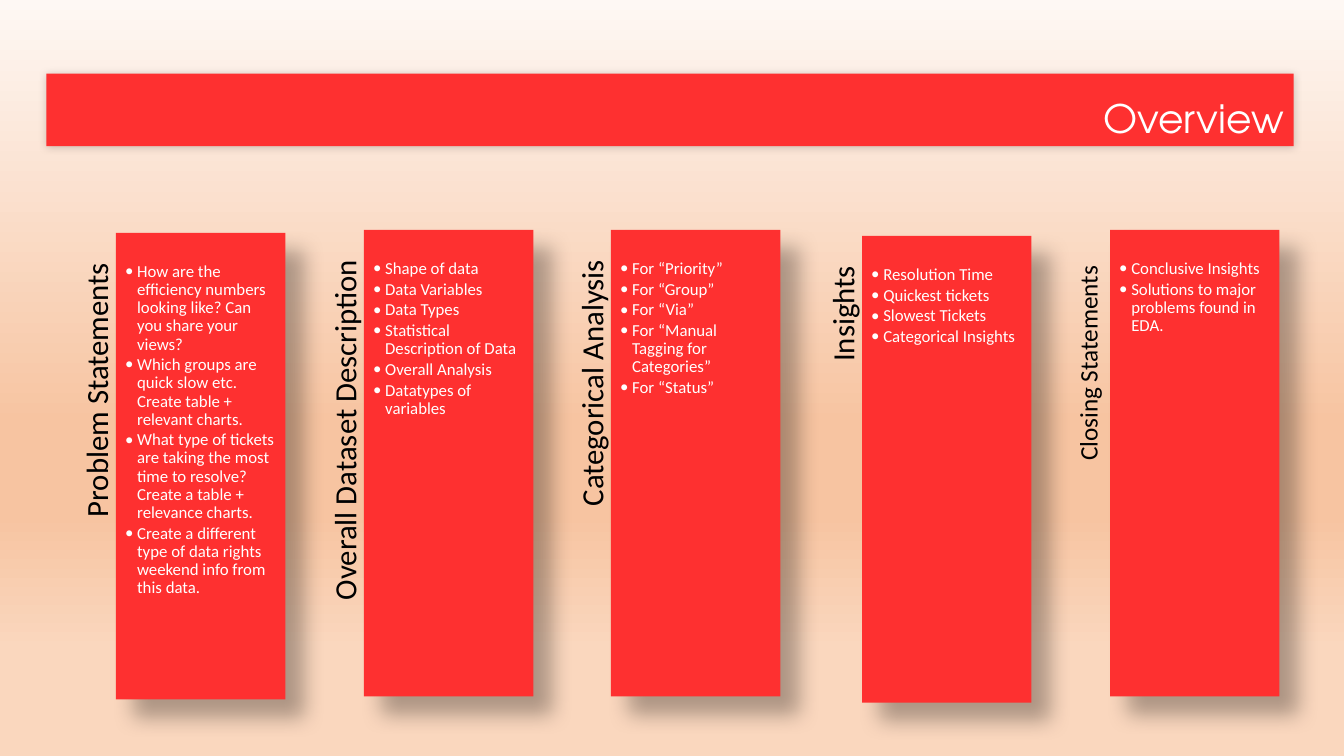
from lxml import etree
from pptx import Presentation
from pptx.dml.color import RGBColor
from pptx.enum.shapes import MSO_SHAPE
from pptx.enum.text import MSO_ANCHOR, PP_ALIGN
from pptx.oxml.ns import qn
from pptx.util import Inches, Pt

RECTANGLE = MSO_SHAPE.RECTANGLE
LEFT, RIGHT = PP_ALIGN.LEFT, PP_ALIGN.RIGHT
TOP, BOTTOM = MSO_ANCHOR.TOP, MSO_ANCHOR.BOTTOM

COLORS = {"red": "FE3030", "white": "FFFFFF", "black": "000000",
          "cream": "FEF8F4", "apricot": "F7C4A1", "peach": "FAD7BE"}
BACKGROUND = [(0, "cream"), (56, "apricot"), (68, "apricot"), (86, "peach"), (100, "peach")]

TITLE = "Overview"
COLUMNS = [
    ("Problem Statements", 22, 1.15, 2.31, [
        "How are the efficiency numbers looking like? Can you share your views?",
        "Which groups are quick slow etc. Create table + relevant charts.",
        "What type of tickets are taking the most time to resolve? Create a table + relevance charts.",
        "Create a different type of data rights weekend info from this data."]),
    ("Overall Dataset Description", 22, 3.61, 2.28, [
        "Shape of data", "Data Variables", "Data Types",
        "Statistical Description of Data", "Overall Analysis", "Datatypes of variables"]),
    ("Categorical Analysis", 22, 6.06, 2.28, [
        "For “Priority”", "For “Group”", "For “Via”",
        "For “Manual Tagging for Categories”", "For “Status”"]),
    ("Insights", 22, 8.55, 2.34, [
        "Resolution Time", "Quickest tickets", "Slowest Tickets", "Categorical Insights"]),
    ("Closing Statements ", 18, 11.01, 2.28, [
        "Conclusive Insights", "Solutions to major problems found in EDA."]),
]

SLIDE_WIDTH, SLIDE_HEIGHT = 13.33, 7.5
TITLE_BAR = (0.46, 0.73, 12.37, 0.72)
CARD_WIDTH, CARD_HEIGHT = 1.68, 4.63
LABEL_HEIGHT = 0.34
INDENT = 0.12


def add_color(parent, name):
    return etree.SubElement(parent, qn("a:srgbClr"), val=COLORS[name])


def paint_background(page):
    fill = page.background.fill
    fill.gradient()
    fill.gradient_angle = 270
    stops = page.element.find(".//" + qn("a:gsLst"))
    for stop in list(stops):
        stops.remove(stop)
    for position, name in BACKGROUND:
        add_color(etree.SubElement(stops, qn("a:gs"), pos=str(position * 1000)), name)


def add_panel(page, frame, opacity, blur, distance, angle):
    panel = page.shapes.add_shape(RECTANGLE, *map(Inches, frame))
    panel.fill.solid()
    panel.fill.fore_color.rgb = RGBColor.from_string(COLORS["red"])
    panel.line.fill.background()
    panel.shadow.inherit = False
    effects = panel.element.spPr.find(qn("a:effectLst"))
    shadow = etree.SubElement(effects, qn("a:outerShdw"), blurRad=str(Pt(blur)),
                              dist=str(Pt(distance)), dir=str(angle * 60000),
                              algn="tl", rotWithShape="0")
    etree.SubElement(add_color(shadow, "black"), qn("a:alpha"), val=str(opacity * 1000))
    return panel


def add_bullet(para):
    properties = para._p.get_or_add_pPr()
    properties.set("marL", str(Inches(INDENT)))
    properties.set("indent", str(-Inches(INDENT)))
    add_color(etree.SubElement(properties, qn("a:buClr")), "white")
    etree.SubElement(properties, qn("a:buFont"), typeface="Calibri")
    etree.SubElement(properties, qn("a:buChar"), char="•")


def write(box, lines, size, color="white", font="Calibri", align=LEFT, anchor=TOP,
          insets=(0, 0, 0, 0), spacing=0.9, bullets=False):
    frame = box.text_frame
    frame.word_wrap = True
    frame.vertical_anchor = anchor
    (frame.margin_left, frame.margin_top,
     frame.margin_right, frame.margin_bottom) = map(Inches, insets)
    for index, line in enumerate(lines):
        para = frame.add_paragraph() if index else frame.paragraphs[0]
        para.alignment = align
        para.line_spacing = spacing
        if index:
            para.space_before = Pt(1.8)
        if bullets:
            add_bullet(para)
        span = para.add_run()
        span.text = line
        span.font.name = font
        span.font.size = Pt(size)
        span.font.color.rgb = RGBColor.from_string(COLORS[color])


def add_column(page, label, label_size, left, top, points):
    center_x = left - LABEL_HEIGHT / 2
    center_y = top + CARD_HEIGHT / 2
    frame = (center_x - CARD_HEIGHT / 2, center_y - LABEL_HEIGHT / 2, CARD_HEIGHT, LABEL_HEIGHT)
    heading = page.shapes.add_textbox(*map(Inches, frame))
    heading.rotation = 270
    write(heading, [label], label_size, color="black", align=RIGHT, insets=(0, 0, 0.3, 0))
    card = add_panel(page, (left, top, CARD_WIDTH, CARD_HEIGHT), 30, 15, 18, 45)
    write(card, points, 12, insets=(0.09, 0.3, 0.09, 0.09), bullets=True)


def main():
    deck = Presentation()
    deck.slide_width, deck.slide_height = Inches(SLIDE_WIDTH), Inches(SLIDE_HEIGHT)
    page = deck.slides.add_slide(deck.slide_layouts[6])
    paint_background(page)
    bar = add_panel(page, TITLE_BAR, 20, 6, 0, 0)
    write(bar, [TITLE], 28, font="TeX Gyre Adventor", align=RIGHT, anchor=BOTTOM,
          insets=(0.1, 0.05, 0.1, 0.05), spacing=1.0)
    for column in COLUMNS:
        add_column(page, *column)
    deck.save("out.pptx")


if __name__ == "__main__":
    main()
